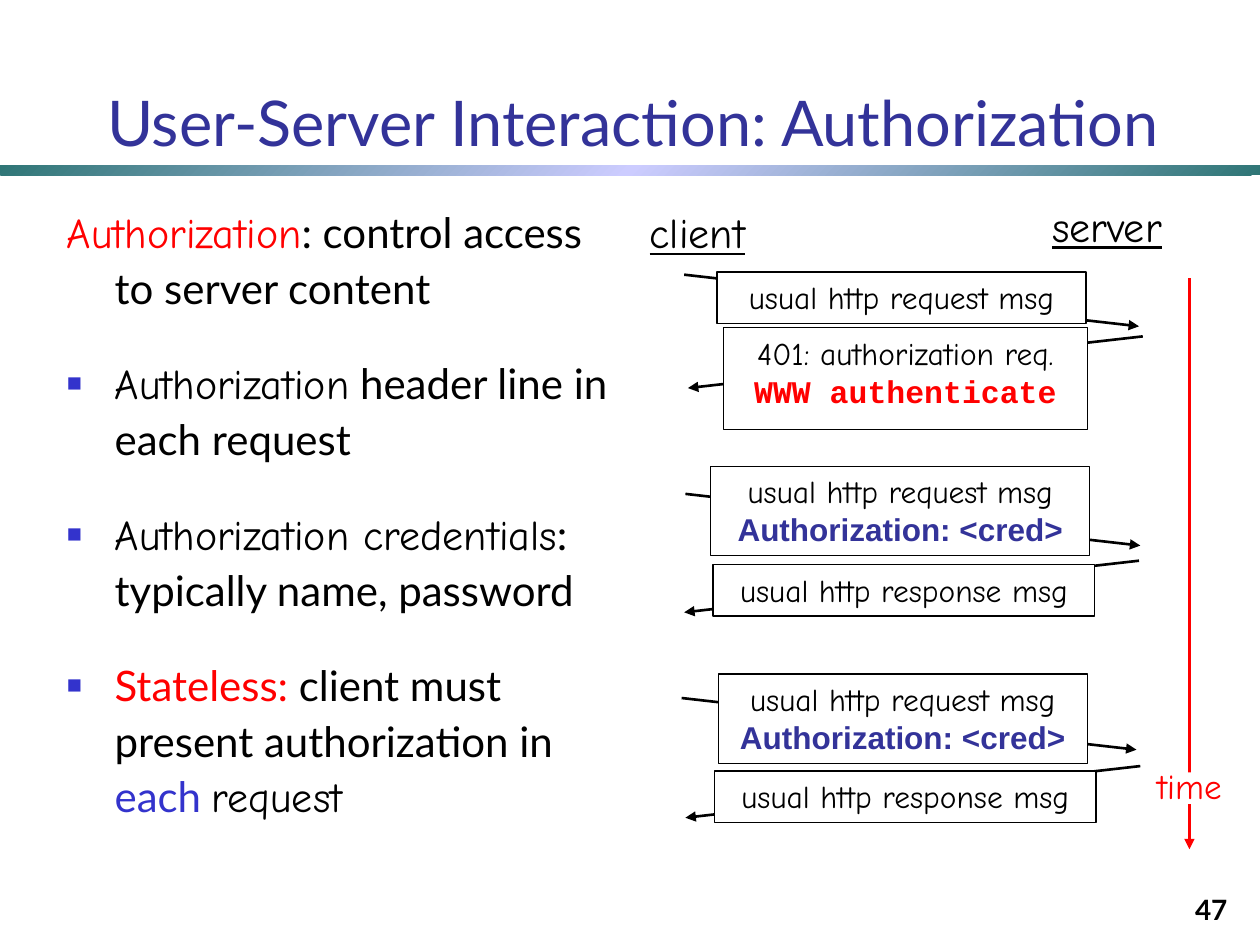
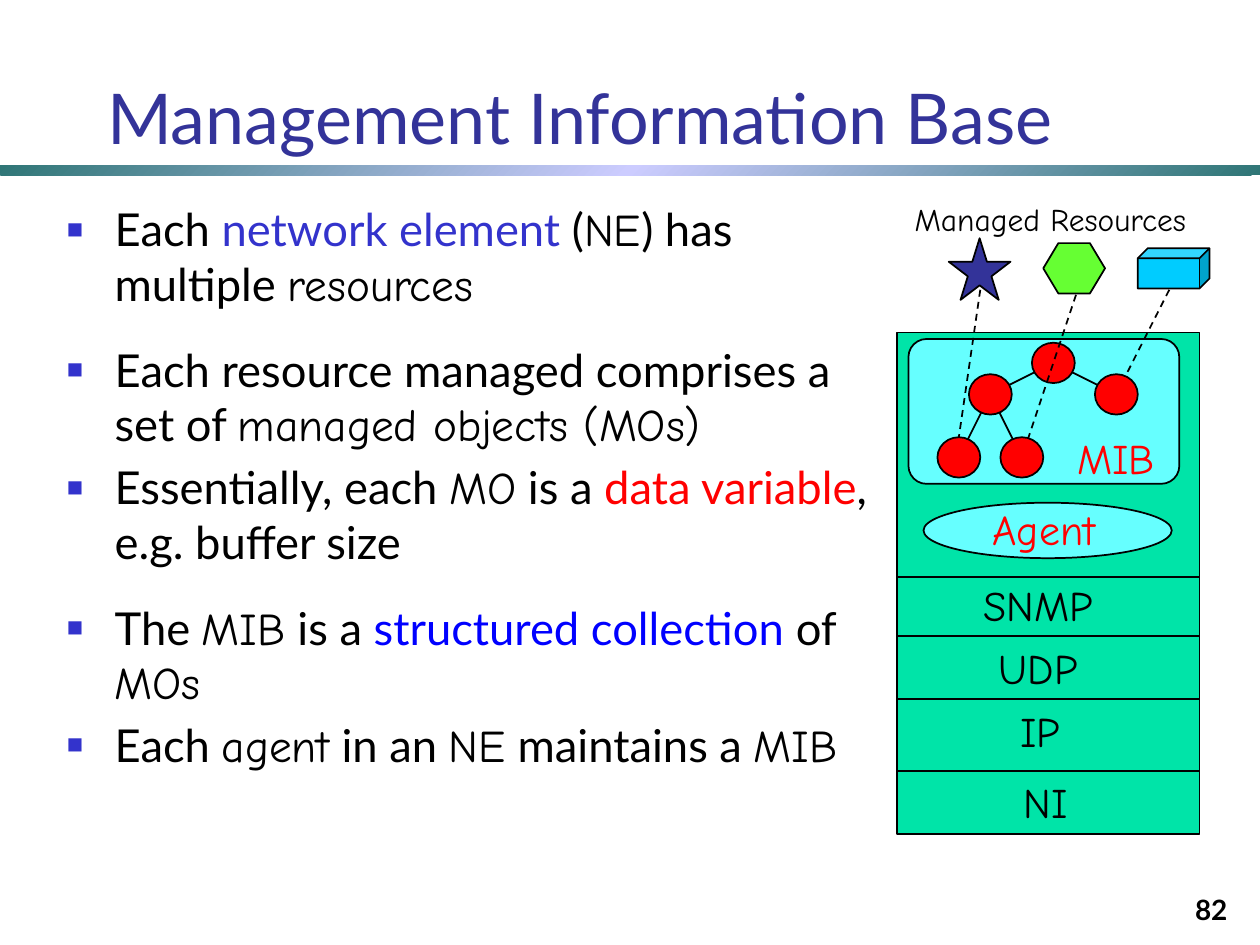
from copy import deepcopy
from pptx import Presentation
from pptx.dml.color import RGBColor
from pptx.enum.dml import MSO_LINE
from pptx.enum.shapes import MSO_CONNECTOR, MSO_SHAPE
from pptx.enum.text import MSO_ANCHOR, MSO_AUTO_SIZE, PP_ALIGN
from pptx.oxml.ns import qn
from pptx.oxml.xmlchemy import OxmlElement
from pptx.util import Inches, Pt

LINE, DASH = MSO_CONNECTOR.STRAIGHT, MSO_LINE.DASH
RECT, OVAL, ROUND = MSO_SHAPE.RECTANGLE, MSO_SHAPE.OVAL, MSO_SHAPE.ROUNDED_RECTANGLE
STAR, HEX, CUBE = MSO_SHAPE.STAR_5_POINT, MSO_SHAPE.HEXAGON, MSO_SHAPE.CUBE
TOP, BASE, FIXED = MSO_ANCHOR.TOP, MSO_ANCHOR.BOTTOM, MSO_AUTO_SIZE.NONE
LEFT, MID, RIGHT = PP_ALIGN.LEFT, PP_ALIGN.CENTER, PP_ALIGN.RIGHT

THEME = {
    "color": {"black": "000000", "white": "FFFFFF", "red": "FF0000", "navy": "333399",
              "blue": "3333CC", "pure": "0000FF", "teal": "2F7676", "pale": "CCCCFF",
              "green": "00E4A8", "aqua": "66FFFF", "sky": "00CCFF", "lime": "66FF33"},
    "size": {"page": 16, "label": 18, "time": 20, "head": 24},
    "tone": {"plain": ("Lato", "black", False), "hand": ("Comic Neue", "black", False),
             "term": ("Comic Neue", "red", False), "alert": ("Lato", "red", False),
             "key": ("Lato", "blue", False), "link": ("Lato", "pure", False),
             "title": ("Lato", "navy", False), "page": ("Lato", "black", True),
             "code": ("Courier New", "red", True), "cred": ("Arial", "navy", True)},
}
SIZE = THEME["size"]
RGB = {name: RGBColor.from_string(code) for name, code in THEME["color"].items()}

deck = Presentation()
deck.slide_width, deck.slide_height = Inches(10), Inches(7.5)
col, row = deck.slide_width / 10, deck.slide_height / 7.5


def write(frame, rows, size, align=LEFT, anchor=TOP, wrap=True, pitch=1, gaps=None, line=False):
    form = {"auto_size": FIXED, "vertical_anchor": anchor, "word_wrap": wrap}
    for key, value in form.items():
        setattr(frame, key, value)
    for i, runs in enumerate(rows):
        para = frame.add_paragraph() if i else frame.paragraphs[0]
        form = {"alignment": align, "line_spacing": pitch,
                "space_before": Pt(gaps[i] if gaps else 0)}
        for key, value in form.items():
            setattr(para, key, value)
        for words, tone in runs:
            run = para.add_run()
            run.text = words
            face, ink, bold = THEME["tone"][tone]
            run.font.color.rgb = RGB[ink]
            form = {"name": face, "size": Pt(size), "bold": bold, "underline": line}
            for key, value in form.items():
                setattr(run.font, key, value)


def mark(page, kind, spot, fill=None, ink="black", wide=1, dash=None, tip=False, bend=None):
    box = [round(n * unit) for n, unit in zip(spot, (col, row, col, row))]
    if kind is None:
        return page.shapes.add_textbox(*box)
    if kind is LINE:
        item = page.shapes.add_connector(LINE, *box)
    else:
        item = page.shapes.add_shape(kind, *box)
        item.shadow.inherit = False
        if fill:
            item.fill.solid()
            item.fill.fore_color.rgb = RGB[fill]
        if bend:
            item.adjustments[0] = bend
    if ink is None:
        item.line.fill.background()
        return item
    item.line.color.rgb = RGB[ink]
    item.line.width = Pt(wide)
    if dash:
        item.line.dash_style = dash
    if tip:
        end = OxmlElement("a:tailEnd")
        end.set("type", "triangle")
        item.line._get_or_add_ln().append(end)
    if kind is LINE:
        item._element.spPr.append(OxmlElement("a:effectLst"))
    return item


auth = [
    [("Authorization", "term"), (": control access to server content", "plain")],
    [("Authorization", "hand"), (" header line in each request", "plain")],
    [("Authorization credentials", "hand"), (": typically name, password", "plain")],
    [("Stateless:", "alert"), (" client must present authorization in ", "plain"),
     ("each ", "key"), ("request", "hand")],
]
base = [
    [("Each ", "plain"), ("network element", "key"), (" (", "plain"), ("NE", "hand"),
     (") has multiple ", "plain"), ("resources", "hand")],
    [("Each resource managed comprises a set of ", "plain"), ("managed objects (MOs)", "hand")],
    [("Essentially, each ", "plain"), ("MO", "hand"), (" is a ", "plain"),
     ("data variable", "alert"), (", e.g. buffer size", "plain")],
    [("The ", "plain"), ("MIB", "hand"), (" is a ", "plain"),
     ("structured collection ", "link"), ("of ", "plain"), ("MOs", "hand")],
    [("Each ", "plain"), ("agent", "hand"), (" in an ", "plain"), ("NE", "hand"),
     (" maintains a ", "plain"), ("MIB", "hand")],
]
plans = [
    ("User-Server Interaction: Authorization", 36, "47", auth, 24, 4.6, 1.1, (0, 23, 23, 23), 1),
    ("Management Information Base", 40, "82", base, 25.9, 6.58, 1, (0, 18, 5, 18, 5), 0),
]
pages = []
for head, big, num, rows, size, wide, pitch, gaps, first in plans:
    page = deck.slides.add_slide(deck.slide_layouts[1])
    pages.append(page)
    band = mark(page, RECT, (0, 1.31, 10, 0.08), ink=None)
    band.fill.gradient()
    band.fill.gradient_angle = 315
    stops = band._element.spPr.find(".//" + qn("a:gsLst"))
    stops.append(deepcopy(stops[0]))
    for stop, place, ink in zip(band.fill.gradient_stops, (0, 0.5, 1), ("teal", "pale", "teal")):
        stop.position = place
        stop.color.rgb = RGB[ink]
    title, body = page.placeholders
    for item, spot in ((title, (0.75, 0.36, 9.25, 0.95)), (body, (0.43, 1.55, wide, 5.35))):
        for key, n, unit in zip(("left", "top", "width", "height"), spot, (col, row, col, row)):
            setattr(item, key, round(n * unit))
    write(title.text_frame, [[(head, "title")]], big, anchor=BASE)
    write(body.text_frame, rows, size, pitch=pitch, gaps=gaps)
    for i, para in enumerate(body.text_frame.paragraphs):
        props = para._p.get_or_add_pPr()
        props.set("marL", str(round(0.38 * col)))
        props.set("indent", str(round(-0.38 * col)))
        if i < first:
            props.append(OxmlElement("a:buNone"))
            continue
        tint = OxmlElement("a:buClr")
        shade = OxmlElement("a:srgbClr")
        shade.set("val", THEME["color"]["blue"])
        tint.append(shade)
        props.append(tint)
        for tag, key, value in (("a:buSzPct", "val", "60000"), ("a:buFont", "typeface", "Arial"),
                                ("a:buChar", "char", "■")):
            part = OxmlElement(tag)
            part.set(key, value)
            props.append(part)
    foot = mark(page, None, (7.76, 6.9, 2.08, 0.5))
    write(foot.text_frame, [[(num, "page")]], SIZE["page"], align=RIGHT, anchor=BASE)

page, stack = pages

for words, spot in (("client", (5, 1.59, 1.07, 0.5)), ("server", (8.18, 1.54, 1.21, 0.5))):
    text = mark(page, None, spot)
    write(text.text_frame, [[(words, "hand")]], SIZE["head"], align=MID, wrap=False, line=True)

ask = [("usual http request msg", "hand")]
reply = [[("usual http response msg", "hand")]]
deny = [[("401: authorization req.", "hand")], [("WWW authenticate", "code")]]
retry = [ask, [("Authorization: <cred>", "cred")]]
trips = [
    (5.43, 2.18, 3.61, (5.69, 2.16, 2.93, 0.41), [ask]),
    (9.07, 2.67, -3.61, (5.74, 2.6, 2.89, 0.81), deny),
    (5.44, 3.92, 3.61, (5.64, 3.7, 3.01, 0.71), retry),
    (9.04, 4.45, -3.61, (5.66, 4.48, 3.03, 0.41), reply),
    (5.41, 5.54, 3.61, (5.7, 5.35, 2.93, 0.71), retry),
    (9.05, 6.08, -3.61, (5.67, 6.12, 3.03, 0.41), reply),
]
for x, y, run, spot, rows in trips:
    mark(page, LINE, (x, y, x + run, y + 0.41), wide=1.5, tip=True)
    note = mark(page, RECT, spot, "white", wide=0.75)
    write(note.text_frame, rows, SIZE["label"], align=MID)

mark(page, LINE, (9.44, 2.21, 9.44, 6.74), ink="red", wide=1.5, tip=True)
mark(page, RECT, (9.15, 6.13, 0.62, 0.25), "white", None)
text = mark(page, None, (9.05, 6.02, 0.78, 0.43))
write(text.text_frame, [[("time", "term")]], SIZE["time"], align=MID, wrap=False)

for step in (0, 3):
    mark(stack, RECT, (7.12, 4.55 + step * 0.5, 2.4, 0.57), "green")
mark(stack, RECT, (7.12, 2.64, 2.4, 1.94), "green")
for step in (1, 2):
    mark(stack, RECT, (7.12, 4.55 + step * 0.5, 2.4, 0.57), "green")
mark(stack, OVAL, (7.33, 3.99, 1.97, 0.44), "aqua")
mark(stack, ROUND, (7.21, 2.69, 2.15, 1.15), "aqua", bend=0.125)

root, west, east = (8.36, 2.88), (7.86, 3.13), (8.86, 3.13)
leaves = [(7.61, 3.63), (8.11, 3.63)]
for start, end in [(root, west), (root, east)] + [(west, leaf) for leaf in leaves]:
    mark(stack, LINE, start + end)
for x, y in [root, west, east, leaves[0]]:
    mark(stack, OVAL, (x - 0.17, y - 0.16, 0.34, 0.32), "red")

mark(stack, CUBE, (9.03, 1.97, 0.57, 0.32), "sky")
mark(stack, HEX, (8.28, 1.93, 0.49, 0.4), "lime", bend=0.3)
mark(stack, STAR, (7.53, 1.89, 0.49, 0.49), "navy")
for spot in ((7.78, 2.3, 7.61, 3.47), (9.28, 2.3, 8.94, 2.97), (8.54, 2.34, 8.11, 3.63)):
    mark(stack, LINE, spot, dash=DASH)
x, y = leaves[1]
mark(stack, OVAL, (x - 0.17, y - 0.16, 0.34, 0.32), "red")

labels = [
    ("Managed Resources", (7.16, 1.54, 2.58, 0.4), "hand", "label", LEFT),
    ("MIB", (8.45, 3.38, 0.9, 0.51), "term", "head", LEFT),
    ("Agent", (7.78, 3.95, 1.16, 0.51), "term", "head", LEFT),
    ("SNMP", (7.71, 4.55, 1.34, 0.51), "hand", "head", LEFT),
    ("UDP", (7.83, 5.05, 0.97, 0.51), "hand", "head", LEFT),
    ("IP", (8, 5.55, 0.65, 0.51), "hand", "head", LEFT),
    ("NI", (7.51, 6.11, 1.58, 0.51), "hand", "head", MID),
]
for words, spot, tone, size, align in labels:
    text = mark(stack, None, spot)
    write(text.text_frame, [[(words, tone)]], SIZE[size], align=align)

deck.save("out.pptx")
